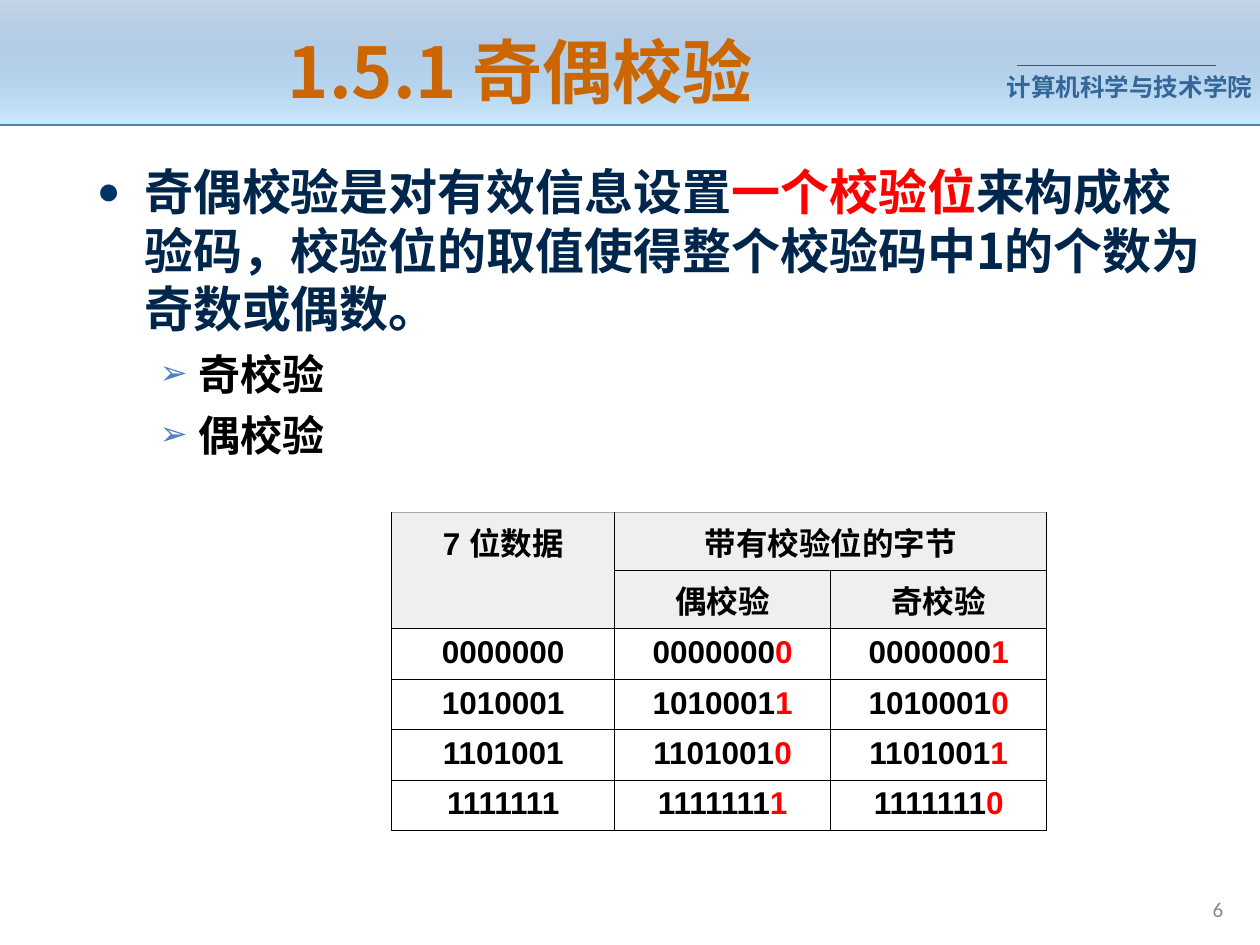
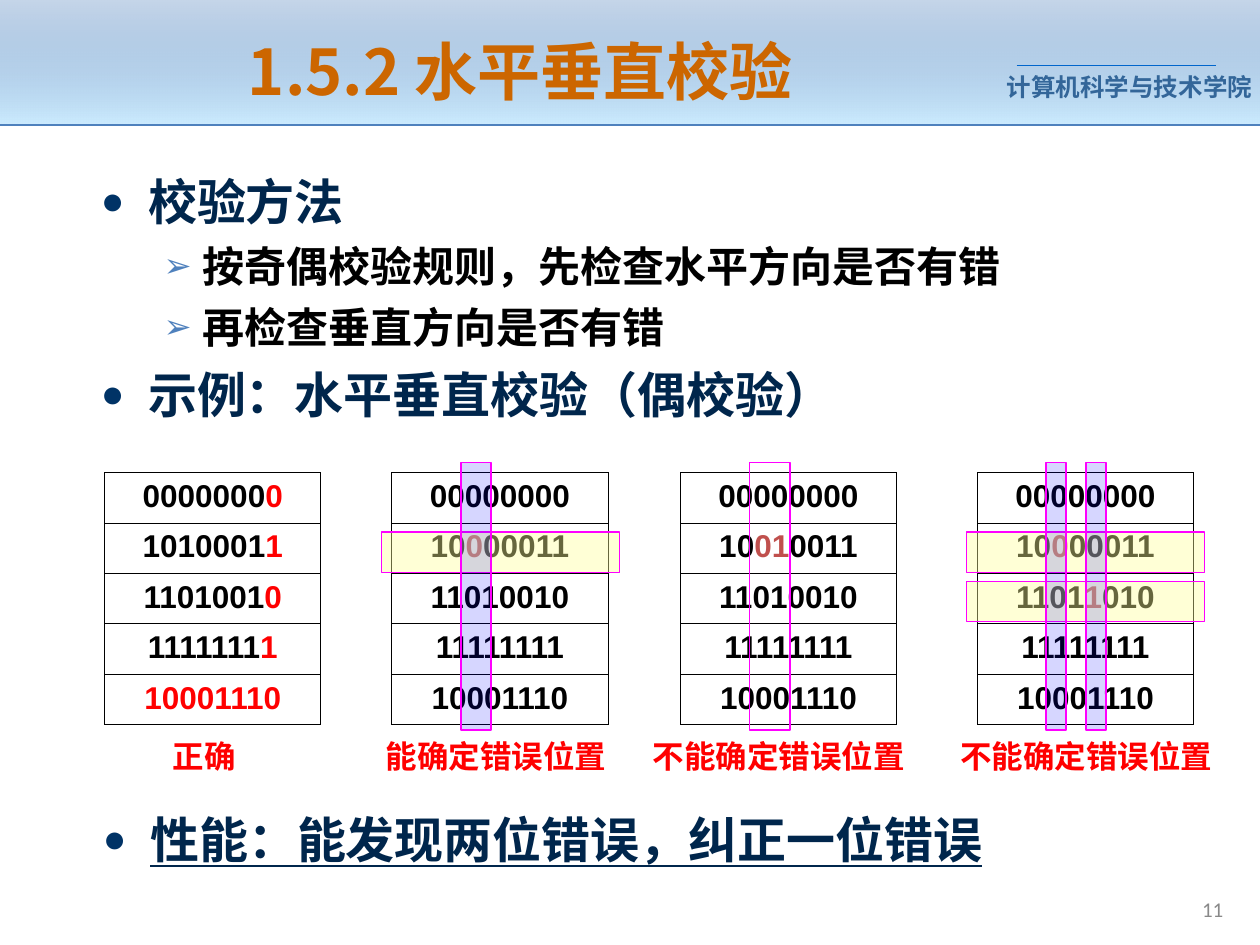
import pptx
import pptx.dml.color
import pptx.enum.shapes
import pptx.enum.text
import pptx.oxml
import pptx.oxml.ns
import pptx.util
import lxml.etree

Pt = pptx.util.Pt
qn = pptx.oxml.ns.qn
ALIGN = pptx.enum.text.PP_ALIGN
ANCHOR = pptx.enum.text.MSO_ANCHOR
RECT = pptx.enum.shapes.MSO_SHAPE.RECTANGLE
HAN, SANS = "Noto Sans CJK SC", "Arial"
HUES = {
    "navy": "00264C", "black": "000000", "red": "FF0000", "brick": "C0504D",
    "title": "CC6600", "school": "336699", "number": "898989", "dot": "003366",
    "blue": "4F81BD", "sky": "CCECFF", "rule": "0066CC", "head": "EFEFEF",
    "pink": "FF00FF", "bar": "0000FF", "band": "FFFF99", "edge": "AAAAAA",
}
LEVELS = [
    dict(left=27, hang=27, mark="●", tint="dot", size=28, hue="navy", before=7),
    dict(left=58.3, hang=22.5, mark="➢", tint="blue", size=24, hue="black", before=6),
]
ROW, COL = 28.8, 123.5


def rgb(name):
    """Return the named colour."""
    return pptx.dml.color.RGBColor.from_string(HUES[name])


def sub(node, tag, **attrs):
    """Append a drawing element with the given attributes."""
    child = lxml.etree.SubElement(node, qn(tag))
    for key, value in attrs.items():
        child.set(key, str(value))
    return child


def fade(fill, alpha):
    """Set the opacity in percent of the first colour inside a fill."""
    sub(next(fill.iter(qn("a:srgbClr"))), "a:alpha", val=alpha * 1000)


def bullet(para, level):
    """Give a paragraph the indent and bullet of its level."""
    props = para._p.get_or_add_pPr()
    props.set("marL", str(Pt(level["left"])))
    props.set("indent", str(-Pt(level["hang"])))
    sub(sub(props, "a:buClr"), "a:srgbClr", val=HUES[level["tint"]])
    sub(props, "a:buSzPct", val=80000)
    sub(props, "a:buFont", typeface=SANS)
    sub(props, "a:buChar", char=level["mark"])


def write(para, text, size=18, hue="black", font=HAN, bold=True, under=False,
          align=ALIGN.LEFT, pitch=None, before=0):
    """Write a string or a list of (text, colour) runs into a paragraph."""
    para.alignment = align
    para.space_before = Pt(before)
    if pitch:
        para.line_spacing = Pt(pitch)
    for part, tint in [(text, hue)] if isinstance(text, str) else text:
        run = para.add_run()
        run.text = part
        face = run.font
        face.size, face.bold, face.name = Pt(size), bold, font
        face.underline = under
        face.color.rgb = rgb(tint)
        sub(run._r.get_or_add_rPr(), "a:ea", typeface=HAN)


def frame(slide, box, wrap=True, middle=False, side=7.2):
    """Add an empty text box and return its text frame."""
    body = slide.shapes.add_textbox(*map(Pt, box)).text_frame
    body.word_wrap = wrap
    body.margin_left = body.margin_right = Pt(side)
    body.margin_top = body.margin_bottom = Pt(3.6)
    body.vertical_anchor = ANCHOR.MIDDLE if middle else ANCHOR.TOP
    return body


def label(slide, box, text, wrap=True, middle=False, side=7.2, **form):
    """Add a text box that holds one paragraph."""
    write(frame(slide, box, wrap, middle, side).paragraphs[0], text, **form)


def points(slide, box, items, pitch=1.2, **form):
    """Add a bulleted list of (level, text) items."""
    body = frame(slide, box)
    for place, (depth, text) in enumerate(items):
        para = body.add_paragraph() if place else body.paragraphs[0]
        level = LEVELS[depth]
        bullet(para, level)
        write(para, text, size=level["size"], hue=level["hue"],
              pitch=round(level["size"] * pitch, 1),
              before=level["before"] if place else 0, **form)


def rule(slide, left, top, right, hue, width):
    """Draw a level line."""
    line = slide.shapes.add_connector(
        pptx.enum.shapes.MSO_CONNECTOR.STRAIGHT, Pt(left), Pt(top), Pt(right), Pt(top))
    line.line.color.rgb = rgb(hue)
    line.line.width = Pt(width)
    sub(line._element.spPr, "a:effectLst")


def banner(slide, box, title, size):
    """Draw the header band with its title and school name."""
    left, top, width, height = box
    band = slide.shapes.add_shape(RECT, *map(Pt, box))
    band.shadow.inherit = False
    band.line.fill.background()
    band.fill.gradient()
    band.fill.gradient_angle = 270
    for stop, hue in zip(band.fill.gradient_stops, ("blue", "sky")):
        stop.color.rgb = rgb(hue)
    fade(band._element.spPr, 32)
    label(slide, (left + 575.3, top + 37.6, 141.8, 24.5), "计算机科学与技术学院",
          wrap=False, side=0, size=14, hue="school", font=SANS)
    rule(slide, left + 581, top + 37.4, left + 694.8, "rule", 0.75)
    rule(slide, left, top + height, left + width, "blue", 1.5)
    label(slide, (left + 36.7, top + 15.1, 521.3, 50.4), title, middle=True,
          size=size, hue="title", align=ALIGN.CENTER)


def base(deck, title, size, number):
    """Start a slide with its banner and page number."""
    slide = deck.slides.add_slide(deck.slide_layouts[6])
    banner(slide, (0, 0, 720, 71.5), title, size)
    label(slide, (547, 508, 159.1, 23), number, middle=True, size=12,
          hue="number", font="Calibri", bold=False, align=ALIGN.RIGHT)
    return slide


def cell(spot, text, fill=None, top=("black", 0.45)):
    """Fill one table cell and draw its borders."""
    props = spot._tc.get_or_add_tcPr()
    for side in "LRTB":
        hue, width = top if side == "T" else ("black", 0.45)
        line = sub(props, "a:ln" + side, w=Pt(width))
        sub(sub(line, "a:solidFill"), "a:srgbClr", val=HUES[hue])
    if fill:
        spot.fill.solid()
        spot.fill.fore_color.rgb = rgb(fill)
    else:
        spot.fill.background()
    if text:
        write(spot.text_frame.paragraphs[0], text, font=SANS, align=ALIGN.CENTER)


def grid(slide, left, top, cols, rows):
    """Add a plain table with the given widths and heights."""
    table = slide.shapes.add_table(len(rows), len(cols), Pt(left), Pt(top),
                                   Pt(sum(cols)), Pt(sum(rows))).table
    table.first_row = table.horz_banding = False
    for col, width in zip(table.columns, cols):
        col.width = Pt(width)
    for row, height in zip(table.rows, rows):
        row.height = Pt(height)
    return table


def parity(slide, left, top):
    """Draw the table of data words and their even and odd bytes."""
    table = grid(slide, left, top, [127.3, COL, COL], [33.2] * 2 + [ROW] * 4)
    heads = [["7 位数据", "带有校验位的字节", ""], ["", "偶校验", "奇校验"]]
    for r, texts in enumerate(heads):
        for c, text in enumerate(texts):
            cell(table.cell(r, c), text, "head", ("black", 0.45) if r else ("edge", 0.11))
    table.cell(0, 0).merge(table.cell(1, 0))
    table.cell(0, 1).merge(table.cell(0, 2))
    for r, word in enumerate(["0000000", "1010001", "1101001", "1111111"], 2):
        even = word.count("1") % 2
        cell(table.cell(r, 0), word)
        for c, bit in enumerate((even, 1 - even), 1):
            cell(table.cell(r, c), [(word, "black"), (str(bit), "red")])


def mark(slide, box, hue=None, alpha=100):
    """Draw a pink frame, tinted if a colour is given."""
    shape = slide.shapes.add_shape(RECT, *map(Pt, box))
    shape.shadow.inherit = False
    shape.line.color.rgb = rgb("pink")
    shape.line.width = Pt(0.75)
    if hue:
        shape.fill.solid()
        shape.fill.fore_color.rgb = rgb(hue)
        fade(shape._element.spPr, alpha)
    else:
        shape.fill.background()


def block(slide, left, top, words, note, mid, bands=(), bars=(), tint="bar"):
    """Draw one block of code words, its marks and its caption."""
    table = grid(slide, left, top, [COL], [ROW] * len(words))
    for r, word in enumerate(words):
        cell(table.cell(r, 0), word)
    for drop in bands:
        mark(slide, (left - 6, top + drop, 136, 23), "band", 40)
    for shift, width in bars:
        mark(slide, (left + shift, top - 5.8, width, 153), tint, 16)
    label(slide, (left + mid - 106, top + 147.8, 212, 28.8), note, wrap=False,
          hue="red", align=ALIGN.CENTER, pitch=21.6)


def first(deck):
    """Build the slide on the parity check."""
    slide = base(deck, "1.5.1 奇偶校验", 40, "6")
    points(slide, (48.3, 88.6, 646.6, 396.7), [
        (0, [("奇偶校验是对有效信息设置", "navy"), ("一个校验位", "red"),
             ("来构成校验码，校验位的取值使得整个校验码中1的个数为奇数或偶数。", "navy")]),
        (1, "奇校验"), (1, "偶校验")])
    parity(slide, 223.9, 292.9)


def second(deck):
    """Build the slide on the horizontal and vertical check."""
    slide = base(deck, "1.5.2 水平垂直校验", 36, "11")
    points(slide, (50.6, 94.4, 624.2, 169.9), [
        (0, "校验方法"), (1, "按奇偶校验规则，先检查水平方向是否有错"),
        (1, "再检查垂直方向是否有错"), (0, "示例：水平垂直校验（偶校验）")])
    words = ["00000000", "10100011", "11010010", "11111111", "10001110"]
    right = [[(word[:-1], "black"), (word[-1], "red")] for word in words[:-1]]
    right.append([(words[-1], "red")])
    single = [("10", "black"), ("0", "brick"), ("00011", "black")]
    double = [("10", "black"), ("01", "brick"), ("0011", "black")]
    other = [("1101", "black"), ("1", "brick"), ("010", "black")]
    top, vague = 270, "不能确定错误位置"
    block(slide, 59.8, top, right, "正确", 57)
    block(slide, 223.9, top, [words[0], single, *words[2:]], "能确定错误位置", 59.5,
          [34], [(39.5, 17.2)])
    block(slide, 388.8, top, [words[0], double, *words[2:]], vague, 56.3,
          bars=[(39.6, 23)], tint=None)
    block(slide, 558.5, top, [words[0], single, other, *words[3:]], vague, 62.2,
          [34, 62.3], [(39.2, 11.5), (62.1, 11.5)])
    points(slide, (51.8, 462.6, 620, 37.4), [(0, "性能：能发现两位错误，纠正一位错误")],
           pitch=1.08, under=True)


def main():
    """Build and save the deck."""
    deck = pptx.Presentation()
    deck.slide_width, deck.slide_height = Pt(720), Pt(540)
    first(deck)
    second(deck)
    deck.save("out.pptx")


if __name__ == "__main__":
    main()
